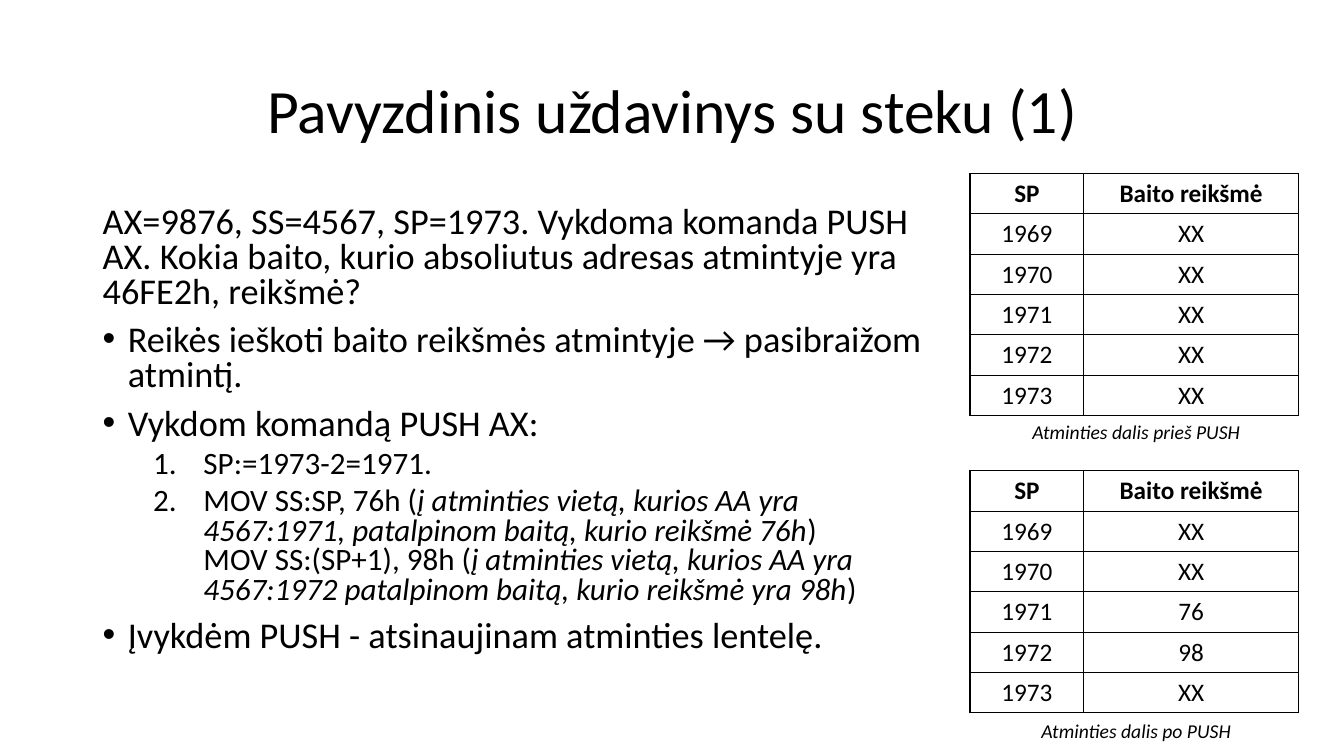
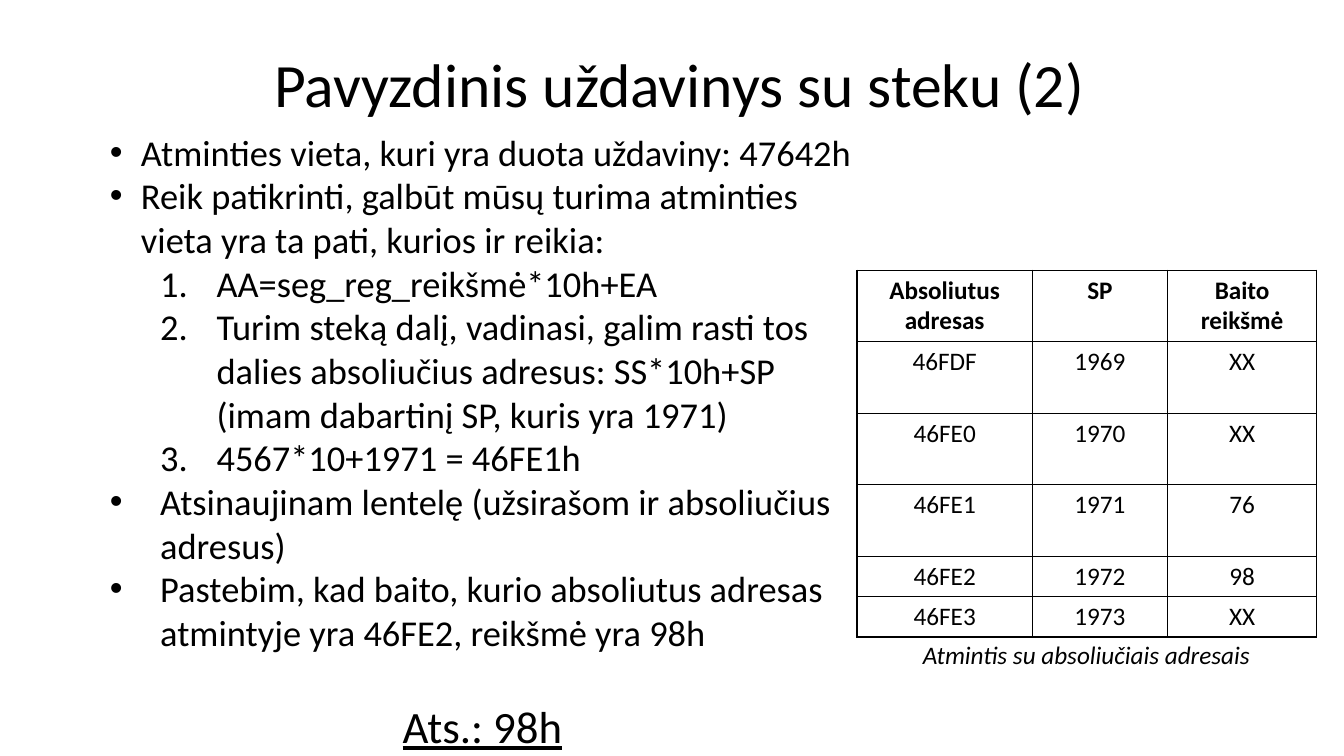
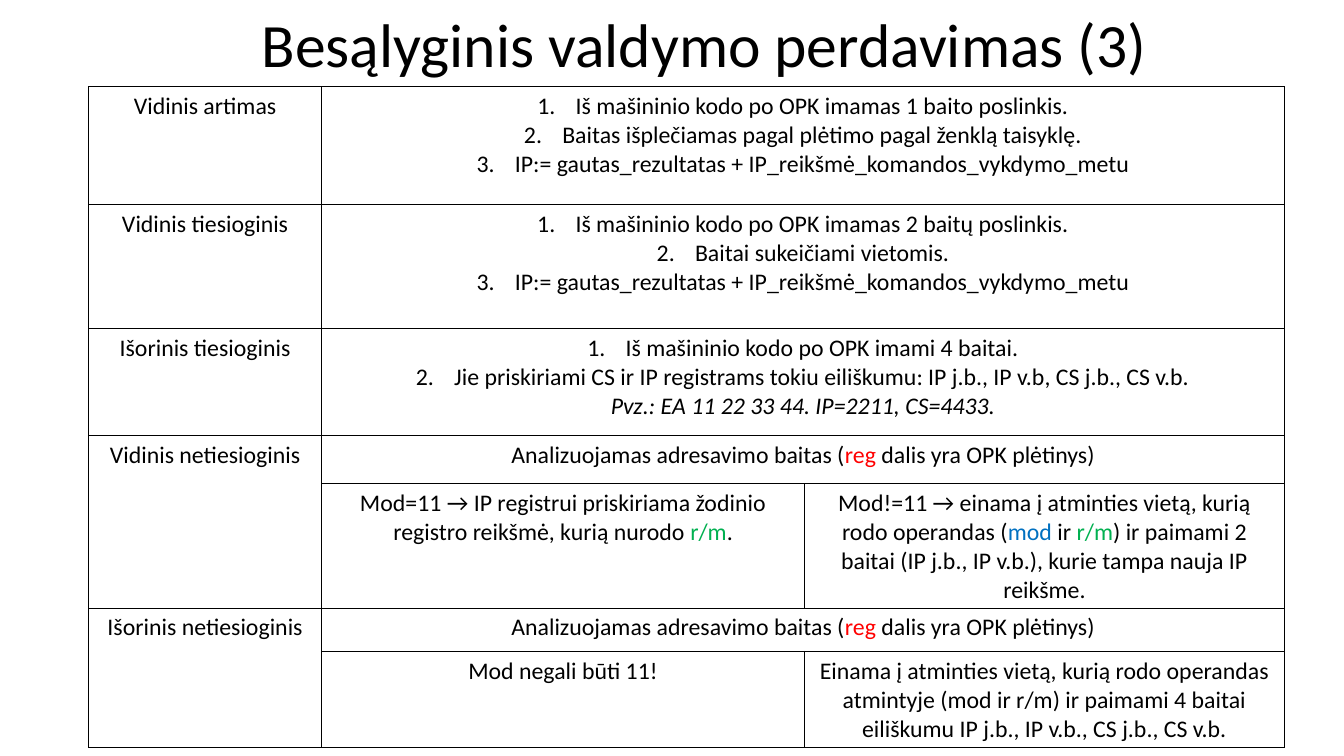
"""Build three slides on stack memory and unconditional control transfer."""
from dataclasses import dataclass
from typing import Optional, Union

from lxml import etree
from pptx import Presentation
from pptx import util as u
from pptx.dml.color import RGBColor
from pptx.enum import text as t
from pptx.oxml.ns import qn

FONT = "Calibri"
BLACK, WHITE = "000000", "FFFFFF"
RED, GREEN, BLUE = "FF0000", "00B050", "0070C0"
BULLET, NUMBER = "•", "1."
LEFT, CENTER = t.PP_ALIGN.LEFT, t.PP_ALIGN.CENTER


@dataclass(frozen=True)
class Run:
    text: str
    color: str = BLACK
    bold: bool = False
    italic: bool = False
    underline: bool = False


@dataclass(frozen=True)
class Para:
    runs: tuple[Union[str, Run], ...]
    size: float
    align: t.PP_ALIGN = LEFT
    marker: Optional[str] = None
    indent: float = 0
    hanging: float = 0
    level: int = 0
    spacing: Optional[float] = None
    before: float = 0


@dataclass(frozen=True)
class Box:
    left: float
    top: float
    width: float
    height: float


Cell = Optional[tuple[Para, ...]]


def rgb(color: str) -> RGBColor:
    return RGBColor.from_string(color)


def put_text(paragraph, text: str, *, size: float, color: str = BLACK, bold: bool = False,
             italic: bool = False, underline: bool = False) -> None:
    for number, line in enumerate(text.split("\n")):
        if number:
            paragraph.add_line_break()
        run = paragraph.add_run()
        run.text = line
        font = run.font
        font.name, font.size = FONT, u.Pt(size)
        font.bold, font.italic, font.underline = bold, italic, underline
        font.color.rgb = rgb(color)


def put_marker(paragraph, para: Para) -> None:
    props = paragraph._p.get_or_add_pPr()
    props.set("marL", str(u.Inches(para.indent)))
    props.set("indent", str(-u.Inches(para.hanging)))
    if para.marker == NUMBER:
        etree.SubElement(props, qn("a:buAutoNum"), type="arabicPeriod")
    else:
        etree.SubElement(props, qn("a:buFont"), typeface="Arial")
        etree.SubElement(props, qn("a:buChar"), char=para.marker)


def fill_frame(frame, paras: tuple[Para, ...]) -> None:
    for number, para in enumerate(paras):
        paragraph = frame.add_paragraph() if number else frame.paragraphs[0]
        paragraph.alignment, paragraph.level = para.align, para.level
        paragraph.space_before = u.Pt(para.before)
        if para.spacing:
            paragraph.line_spacing = para.spacing
        if para.marker:
            put_marker(paragraph, para)
        for item in para.runs:
            run = Run(item) if isinstance(item, str) else item
            put_text(paragraph, run.text, size=para.size, color=run.color, bold=run.bold,
                     italic=run.italic, underline=run.underline)


def add_text(slide, box: Box, *paras: Para, anchor=t.MSO_ANCHOR.TOP) -> None:
    shape = slide.shapes.add_textbox(*map(u.Inches, (box.left, box.top, box.width, box.height)))
    frame = shape.text_frame
    frame.word_wrap, frame.vertical_anchor = True, anchor
    fill_frame(frame, paras)


def add_title(slide, title: str, left: float, top: float, height: float = 1.45) -> None:
    add_text(slide, Box(left, top, 11.5, height),
             Para((title,), 44, CENTER, spacing=0.9), anchor=t.MSO_ANCHOR.MIDDLE)


def add_caption(slide, box: Box, caption: str, size: float) -> None:
    add_text(slide, box, Para((Run(caption, italic=True),), size, CENTER))


def style_cell(cell) -> None:
    props = cell._tc.get_or_add_tcPr()
    for side in ("lnL", "lnR", "lnT", "lnB"):
        line = etree.SubElement(props, qn(f"a:{side}"), w=str(u.Pt(1)))
        solid = etree.SubElement(line, qn("a:solidFill"))
        etree.SubElement(solid, qn("a:srgbClr"), val=BLACK)
    cell.fill.solid()
    cell.fill.fore_color.rgb = rgb(WHITE)


def add_grid(slide, left: float, top: float, widths: list[float], heights: list[float],
             rows: list[list[Cell]], merges: tuple = ()) -> None:
    table = slide.shapes.add_table(
        len(heights), len(widths), u.Inches(left), u.Inches(top),
        u.Inches(sum(widths)), u.Inches(sum(heights))).table
    table.first_row = table.horz_banding = False
    for column, width in zip(table.columns, widths):
        column.width = u.Inches(width)
    for row, height in zip(table.rows, heights):
        row.height = u.Inches(height)
    for first, last in merges:
        table.cell(*first).merge(table.cell(*last))
    for r, row in enumerate(rows):
        for c, paras in enumerate(row):
            cell = table.cell(r, c)
            style_cell(cell)
            if paras:
                fill_frame(cell.text_frame, paras)


def memory_rows(header: list[str], records: list[tuple[str, ...]]) -> list[list[Cell]]:
    return [[(Para((Run(value, bold=r == 0),), 18, CENTER),) for value in record]
            for r, record in enumerate([header, *records])]


def stack_point(*runs: Union[str, Run]) -> Para:
    return Para(runs, 25.9, marker=BULLET, indent=0.25, hanging=0.25, spacing=0.8, before=10)


def stack_step(*runs: Union[str, Run]) -> Para:
    return Para(runs, 22.2, marker=NUMBER, indent=1, hanging=0.5, level=1, spacing=0.8, before=5)


def answer_point(text: str, indent: float) -> Para:
    return Para((text,), 26, marker=BULLET, indent=indent, hanging=indent)


def answer_step(text: str) -> Para:
    return Para((text,), 26, marker=NUMBER, indent=1.06, hanging=0.56, level=1)


def plain(*runs: Union[str, Run]) -> tuple[Para, ...]:
    return (Para(runs, 17, CENTER),)


def numbered(*steps: str) -> tuple[Para, ...]:
    return tuple(Para((step,), 17, CENTER, NUMBER, 0.38, 0.38) for step in steps)


ADDRESSES = ["1969", "1970", "1971", "1972", "1973"]
BEFORE_PUSH = ["XX"] * 5
AFTER_PUSH = ["XX", "XX", "76", "98", "XX"]
ABSOLUTE = ["46FDF", "46FE0", "46FE1", "46FE2", "46FE3"]


def build_stack_push(slide) -> None:
    add_title(slide, "Pavyzdinis uždavinys su steku (1)", 0.92, 0.4)
    add_text(
        slide, Box(0.92, 2, 8.54, 4.76),
        Para(("AX=9876, SS=4567, SP=1973. Vykdoma komanda PUSH AX. Kokia baito, kurio "
              "absoliutus adresas atmintyje yra 46FE2h, reikšmė?",), 25.9, spacing=0.8, before=10),
        stack_point("Reikės ieškoti baito reikšmės atmintyje → pasibraižom atmintį."),
        stack_point("Vykdom komandą PUSH AX:"),
        stack_step("SP:=1973-2=1971."),
        stack_step(
            "MOV SS:SP, 76h (",
            Run("į atminties vietą, kurios AA yra 4567:1971, patalpinom baitą, "
                "kurio reikšmė 76h", italic=True),
            ")\nMOV SS:(SP+1), 98h (",
            Run("į atminties vietą, kurios AA yra 4567:1972 patalpinom baitą, "
                "kurio reikšmė yra 98h", italic=True),
            ")"),
        stack_point("Įvykdėm PUSH - atsinaujinam atminties lentelę."))
    for top, caption_top, values, caption in (
            (1.72, 4.12, BEFORE_PUSH, "Atminties dalis prieš PUSH"),
            (4.67, 7.08, AFTER_PUSH, "Atminties dalis po PUSH")):
        add_grid(slide, 9.62, top, [1.13, 2.13], [0.4] * 6,
                 memory_rows(["SP", "Baito reikšmė"], list(zip(ADDRESSES, values))))
        add_caption(slide, Box(9.62, caption_top, 3.3, 0.34), caption, 14)


def build_stack_answer(slide) -> None:
    add_title(slide, "Pavyzdinis uždavinys su steku (2)", 0.99, 0.14)
    add_grid(slide, 8.5, 2.68, [1.74, 1.34, 1.48], [0.71] * 4 + [0.4] * 2,
             memory_rows(["Absoliutus adresas", "SP", "Baito reikšmė"],
                         list(zip(ABSOLUTE, ADDRESSES, AFTER_PUSH))))
    add_text(
        slide, Box(0.99, 1.24, 7.59, 6.33),
        answer_point("Atminties vieta, kuri yra duota uždaviny: 47642h", 0.31),
        answer_point("Reik patikrinti, galbūt mūsų turima atminties vieta yra ta pati, "
                     "kurios ir reikia:", 0.31),
        answer_step("AA=seg_reg_reikšmė*10h+EA"),
        answer_step("Turim steką dalį, vadinasi, galim rasti tos dalies absoliučius adresus: "
                    "SS*10h+SP (imam dabartinį SP, kuris yra 1971)"),
        answer_step("4567*10+1971 = 46FE1h"),
        answer_point("Atsinaujinam lentelę (užsirašom ir absoliučius adresus)", 0.5),
        answer_point("Pastebim, kad baito, kurio absoliutus adresas atmintyje yra 46FE2, "
                     "reikšmė yra 98h", 0.5),
        Para((Run("Ats.: 98h", underline=True),), 32, CENTER, before=32))
    add_caption(slide, Box(8.57, 6.29, 4.41, 0.4), "Atmintis su absoliučiais adresais", 18)


def build_transfer(slide) -> None:
    add_title(slide, "Besąlyginis valdymo perdavimas (3)", 1.24, 0, 0.95)
    new_ip = "IP:= gautas_rezultatas + IP_reikšmė_komandos_vykdymo_metu"
    mode_byte = plain("Analizuojamas adresavimo baitas (", Run("reg ", RED),
                      "dalis yra OPK plėtinys)")
    example = plain(Run("Pvz.: EA 11 22 33 44. IP=2211, CS=4433.", italic=True))
    rows = [
        [plain("Vidinis artimas"),
         numbered("Iš mašininio kodo po OPK imamas 1 baito poslinkis.",
                  "Baitas išplečiamas pagal plėtimo pagal ženklą taisyklę.", new_ip), None],
        [plain("Vidinis tiesioginis"),
         numbered("Iš mašininio kodo po OPK imamas 2 baitų poslinkis.",
                  "Baitai sukeičiami vietomis.", new_ip), None],
        [plain("Išorinis tiesioginis"),
         numbered("Iš mašininio kodo po OPK imami 4 baitai.",
                  "Jie priskiriami CS ir IP registrams tokiu eiliškumu: "
                  "IP j.b., IP v.b, CS j.b., CS v.b.") + example, None],
        [plain("Vidinis netiesioginis"), mode_byte, None],
        [None,
         plain("Mod=11 → IP registrui priskiriama žodinio registro reikšmė, kurią nurodo ",
               Run("r/m", GREEN), "."),
         plain("Mod!=11 → einama į atminties vietą, kurią rodo operandas (", Run("mod", BLUE),
               " ir ", Run("r/m", GREEN),
               ") ir paimami 2 baitai (IP j.b., IP v.b.), kurie tampa nauja IP reikšme.")],
        [plain("Išorinis netiesioginis"), mode_byte, None],
        [None, plain("Mod negali būti 11!"),
         plain("Einama į atminties vietą, kurią rodo operandas atmintyje (mod ir r/m) ir "
               "paimami 4 baitai eiliškumu IP j.b., IP v.b., CS j.b., CS v.b.")],
    ]
    wide = [((r, 1), (r, 2)) for r in (0, 1, 2, 3, 5)]
    tall = [((r, 0), (r + 1, 0)) for r in (3, 5)]
    add_grid(slide, 0.88, 0.86, [2.31, 4.79, 4.76],
             [1.17, 1.23, 1.06, 0.48, 1.23, 0.43, 0.95], rows, (*wide, *tall))


def main() -> None:
    deck = Presentation()
    deck.slide_width, deck.slide_height = u.Inches(13.33), u.Inches(7.5)
    for build in (build_stack_push, build_stack_answer, build_transfer):
        build(deck.slides.add_slide(deck.slide_layouts[6]))
    deck.save("out.pptx")


if __name__ == "__main__":
    main()
